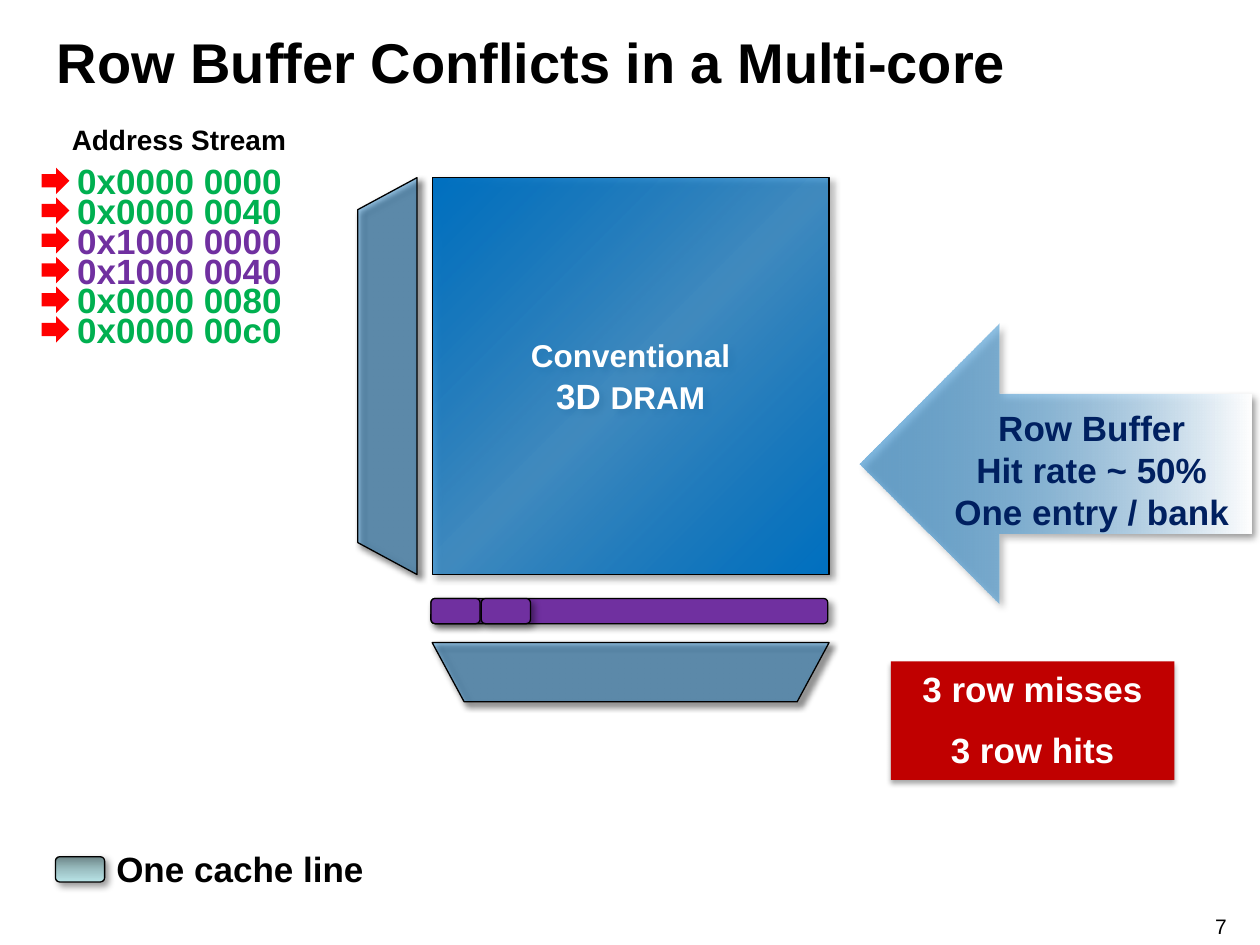
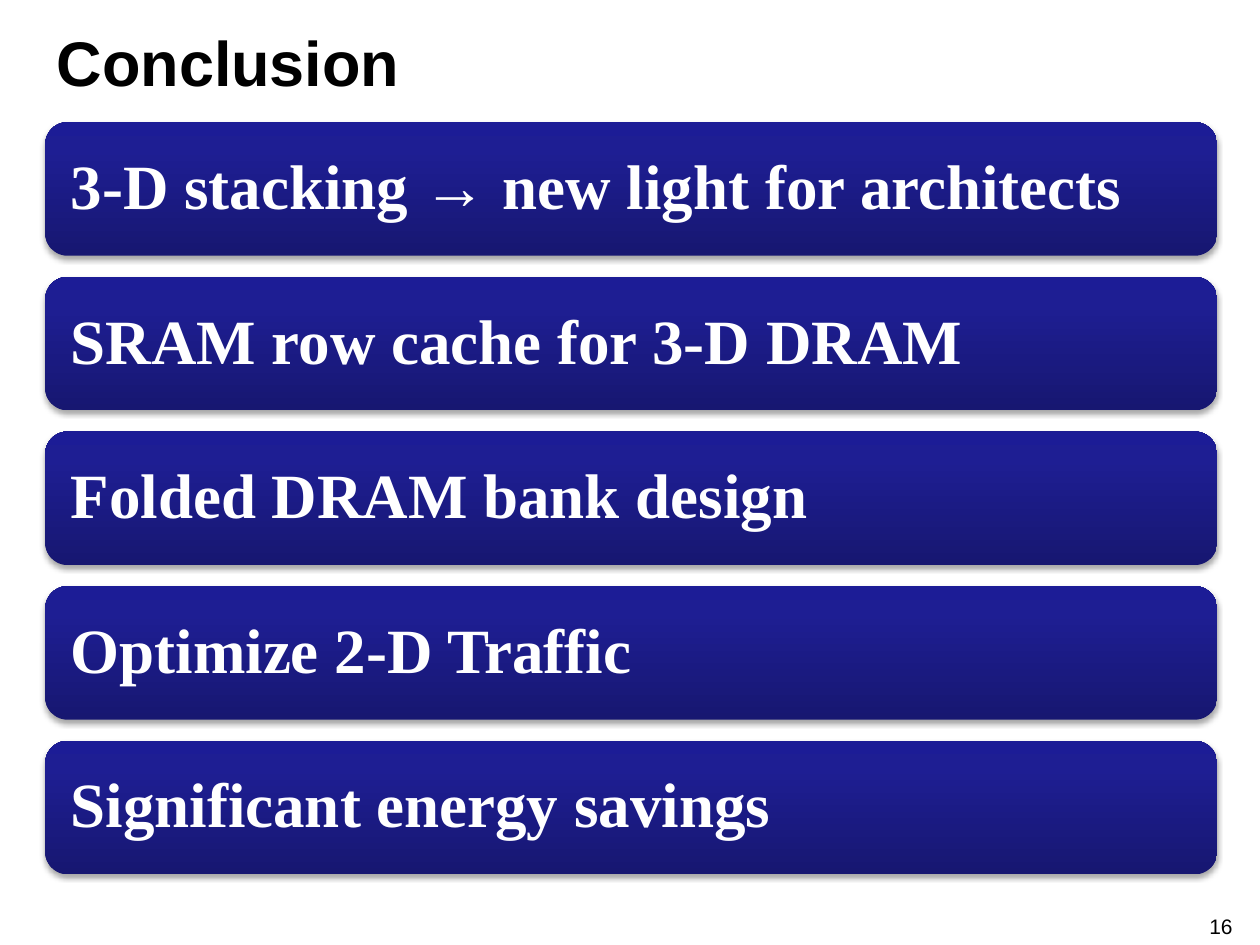
from lxml.etree import SubElement
from pptx import Presentation
from pptx.dml.color import RGBColor
from pptx.enum.shapes import MSO_SHAPE
from pptx.enum.text import MSO_ANCHOR, MSO_AUTO_SIZE, PP_ALIGN
from pptx.oxml.ns import qn
from pptx.util import Inches, Pt

BLACK = RGBColor(0x00, 0x00, 0x00)
WHITE = RGBColor(0xFF, 0xFF, 0xFF)
BLUE = RGBColor(0x00, 0x70, 0xC0)
NAVY = RGBColor(0x00, 0x20, 0x60)
GREEN = RGBColor(0x00, 0xB0, 0x50)
PURPLE = RGBColor(0x70, 0x30, 0xA0)
RED = RGBColor(0xFF, 0x00, 0x00)
DARK_RED = RGBColor(0xC0, 0x00, 0x00)

# Gradient stops: position in percent, colour, opacity in percent
BANK_STOPS = [(0, BLUE, 100), (50, BLUE, 65), (100, BLUE, 100)]
ARROW_STOPS = [(0, WHITE, 100), (100, BLUE, 50)]
CACHE_STOPS = [
    (0, RGBColor(0x6D, 0x86, 0x88), 100),
    (50, RGBColor(0x9B, 0xBF, 0xC2), 100),
    (100, RGBColor(0xB8, 0xE3, 0xE6), 100),
]
BAND_STOPS = [
    (0, RGBColor(0x17, 0x17, 0x71), 100),
    (80, RGBColor(0x1E, 0x1E, 0x93), 100),
    (100, RGBColor(0x1C, 0x1C, 0x96), 100),
]

# Shadows: opacity in percent, blur and distance in points, angle in degrees
DIAGONAL_SHADOW = (40, 4, 3, 45)
DROP_SHADOW = (35, 3.1, 1.8, 90)

TITLE_ONLY = 5


class SlideBuilder:
    font = "Arial"

    def __init__(self, deck):
        self.deck = deck
        self.page = None

    def start(self, title, number, size):
        self.page = self.deck.slides.add_slide(self.deck.slide_layouts[TITLE_ONLY])
        heading = self.page.shapes.title
        heading.left, heading.top = Inches(0.35), Inches(0.07)
        heading.width, heading.height = Inches(9.31), Inches(0.83)
        self.set_text(heading, [[(title, size)]], BLACK, align=PP_ALIGN.LEFT,
                      anchor=MSO_ANCHOR.MIDDLE)
        self.text(9.44, 7.25, 0.5, 0.2, [[(number, 12)]], bold=False, margin=0)

    def set_text(self, box, lines, color, align=PP_ALIGN.CENTER,
                 anchor=MSO_ANCHOR.TOP, bold=True, font=None, margin=None,
                 gap=0, spacing=None, wrap=True):
        """Fill a shape with lines, each a list of (text, size) runs."""
        frame = box.text_frame
        frame.auto_size = MSO_AUTO_SIZE.NONE
        frame.word_wrap = wrap
        frame.vertical_anchor = anchor
        if margin is not None:
            frame.margin_left = frame.margin_right = Inches(margin)
            frame.margin_top = frame.margin_bottom = Inches(margin)
        for index, line in enumerate(lines):
            para = frame.add_paragraph() if index else frame.paragraphs[0]
            para.alignment = align
            para.space_before = Pt(gap if index else 0)
            if spacing:
                para.line_spacing = spacing
            for text, size in line:
                span = para.add_run()
                span.text = text
                span.font.name = font or self.font
                span.font.size = Pt(size)
                span.font.bold = bold
                span.font.color.rgb = color

    def text(self, left, top, width, height, lines, color=BLACK, **style):
        box = self.page.shapes.add_textbox(
            Inches(left), Inches(top), Inches(width), Inches(height))
        self.set_text(box, lines, color, **style)

    def shape(self, kind, left, top, width, height, fill=None, opacity=100,
              stops=None, angle=0, outline=True, shadow=DIAGONAL_SHADOW, turn=0):
        shape = self.page.shapes.add_shape(
            kind, Inches(left), Inches(top), Inches(width), Inches(height))
        shape.rotation = turn
        if stops:
            self.gradient(shape, stops, angle)
        else:
            shape.fill.solid()
            shape.fill.fore_color.rgb = fill
            if opacity < 100:
                color = shape._element.spPr.find(qn("a:solidFill"))[0]
                SubElement(color, qn("a:alpha"), val=str(opacity * 1000))
        if outline:
            shape.line.color.rgb = BLACK
            shape.line.width = Pt(0.75)
        else:
            shape.line.fill.background()
        shape.shadow.inherit = False
        if shadow:
            self.cast_shadow(shape, *shadow)
        return shape

    @staticmethod
    def gradient(shape, stops, angle):
        """Set a linear gradient; the angle runs clockwise in degrees."""
        shape.fill.gradient()
        gradient = shape._element.spPr.find(qn("a:gradFill"))
        for child in list(gradient):
            gradient.remove(child)
        stop_list = SubElement(gradient, qn("a:gsLst"))
        for position, color, opacity in stops:
            stop = SubElement(stop_list, qn("a:gs"), pos=str(position * 1000))
            tint = SubElement(stop, qn("a:srgbClr"), val=str(color))
            if opacity < 100:
                SubElement(tint, qn("a:alpha"), val=str(opacity * 1000))
        SubElement(gradient, qn("a:lin"), ang=str(angle * 60000), scaled="0")

    @staticmethod
    def cast_shadow(shape, opacity, blur, distance, angle):
        effects = shape._element.spPr.find(qn("a:effectLst"))
        shadow = SubElement(
            effects, qn("a:outerShdw"), blurRad=str(Pt(blur)),
            dist=str(Pt(distance)), dir=str(angle * 60000), rotWithShape="0")
        color = SubElement(shadow, qn("a:srgbClr"), val=str(BLACK))
        SubElement(color, qn("a:alpha"), val=str(opacity * 1000))


def add_conflicts_slide(builder):
    builder.start("Row Buffer Conflicts in a Multi-core", "7", 32)

    bank = builder.shape(MSO_SHAPE.RECTANGLE, 3.43, 1.41, 3.15, 3.15,
                         stops=BANK_STOPS, angle=45)
    builder.set_text(bank, [[("Conventional", 18)], [("3D ", 20), ("DRAM", 18)]],
                     WHITE, anchor=MSO_ANCHOR.MIDDLE)
    for left, top, turn in [(1.5, 2.75, 270), (3.43, 5.1, 180)]:
        decoder = builder.shape(MSO_SHAPE.TRAPEZOID, left, top, 3.15, 0.47,
                                fill=BLUE, opacity=40, turn=turn)
        decoder.adjustments[0] = 0.54

    # Row buffer, followed by its first two cache lines
    for left, width in [(3.42, 3.15), (3.42, 0.39), (3.82, 0.39)]:
        builder.shape(MSO_SHAPE.ROUNDED_RECTANGLE, left, 4.75, width, 0.2, fill=PURPLE)

    builder.shape(MSO_SHAPE.RIGHT_ARROW, 6.82, 2.57, 3.11, 2.22,
                  stops=ARROW_STOPS, outline=False, turn=180)
    hit_rate = ["Row Buffer", "Hit rate ~ 50%", "One entry / bank"]
    builder.text(7.4, 3.18, 2.53, 1.1, [[(line, 20)] for line in hit_rate], NAVY)

    builder.shape(MSO_SHAPE.ROUNDED_RECTANGLE, 0.44, 6.8, 0.39, 0.2,
                  stops=CACHE_STOPS, angle=90)
    builder.text(0.8, 6.68, 2.21, 0.44, [[("One cache line", 20)]])

    builder.text(0.46, 0.92, 1.92, 0.37, [[("Address Stream", 16)]], wrap=False)
    addresses = [
        ("0x0000 0000", GREEN),
        ("0x0000 0040", GREEN),
        ("0x1000 0000", PURPLE),
        ("0x1000 0040", PURPLE),
        ("0x0000 0080", GREEN),
        ("0x0000 00c0", GREEN),
    ]
    pitch = 1.18 / (len(addresses) - 1)
    for row, (address, color) in enumerate(addresses):
        builder.text(0.48, 1.22 + row * pitch, 1.89, 0.44, [[(address, 20)]], color)
        builder.shape(MSO_SHAPE.RIGHT_ARROW, 0.33, 1.33 + row * pitch, 0.22, 0.21,
                      fill=RED, outline=False, shadow=None)

    tally = builder.shape(MSO_SHAPE.RECTANGLE, 7.07, 5.25, 2.25, 0.94,
                          fill=DARK_RED, outline=False, shadow=DROP_SHADOW)
    builder.set_text(tally, [[("3 row misses", 20)], [("3 row hits", 20)]], WHITE, gap=11)


def add_conclusion_slide(builder):
    builder.start("Conclusion", "16", 36)
    points = [
        "3-D stacking → new light for architects",
        "SRAM row cache for 3-D DRAM",
        "Folded DRAM bank design",
        "Optimize 2-D Traffic",
        "Significant energy savings",
    ]
    pitch = 4.91 / (len(points) - 1)
    for row, point in enumerate(points):
        band = builder.shape(MSO_SHAPE.ROUNDED_RECTANGLE, 0.36, 0.97 + row * pitch,
                             9.3, 1.06, stops=BAND_STOPS, angle=270,
                             outline=False, shadow=DROP_SHADOW)
        builder.set_text(band, [[(point, 36)]], WHITE, align=PP_ALIGN.LEFT,
                         anchor=MSO_ANCHOR.MIDDLE, font="Times New Roman",
                         margin=0.15, spacing=0.9)


def main():
    deck = Presentation()
    deck.slide_width, deck.slide_height = Inches(10), Inches(7.5)
    builder = SlideBuilder(deck)
    add_conflicts_slide(builder)
    add_conclusion_slide(builder)
    deck.save("out.pptx")


if __name__ == "__main__":
    main()
